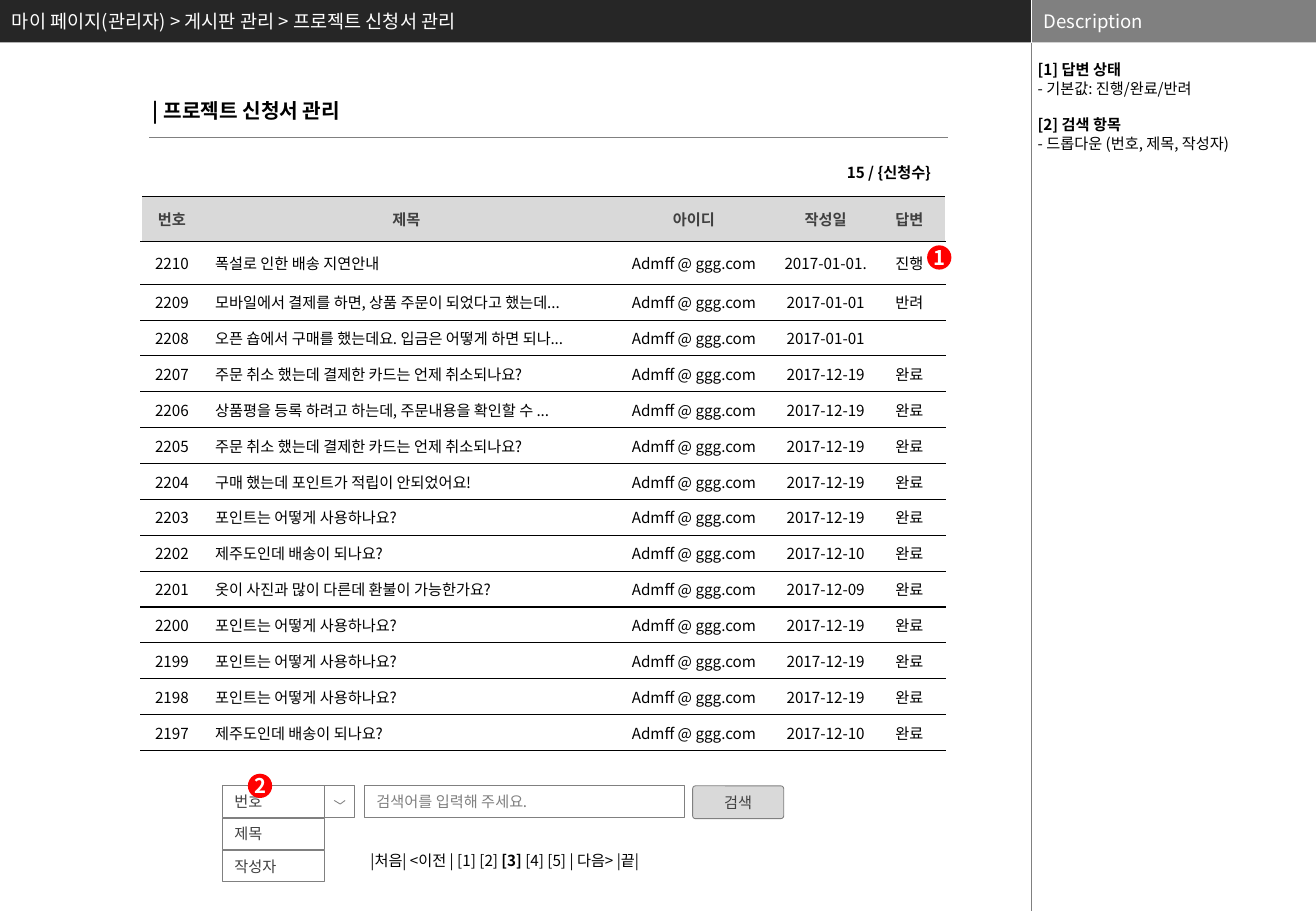
from dataclasses import dataclass
from lxml import etree
from pptx import Presentation
from pptx.dml.color import RGBColor
from pptx.enum.shapes import MSO_CONNECTOR, MSO_SHAPE
from pptx.enum.text import MSO_ANCHOR, PP_ALIGN
from pptx.oxml.ns import qn
from pptx.util import Inches, Pt

RECT, ROUND, OVAL = MSO_SHAPE.RECTANGLE, MSO_SHAPE.ROUNDED_RECTANGLE, MSO_SHAPE.OVAL
STRAIGHT = MSO_CONNECTOR.STRAIGHT
LEFT, CENTER, RIGHT = PP_ALIGN.LEFT, PP_ALIGN.CENTER, PP_ALIGN.RIGHT
TOP, MIDDLE = MSO_ANCHOR.TOP, MSO_ANCHOR.MIDDLE


@dataclass(frozen=True)
class Theme:
    font: str = "Noto Sans CJK KR"
    black: str = "000000"
    white: str = "FFFFFF"
    bar: str = "262626"
    gray: str = "808080"
    ink: str = "404040"
    pale: str = "D9D9D9"
    red: str = "FF0000"
    body: float = 9
    bar_size: float = 11
    title: float = 12
    note_pitch: float = 10.85
    thin: float = 0.25
    outline: float = 0.5
    rule: float = 0.75
    edge: float = 1


THEME = Theme()
BREADCRUMB = "마이 페이지(관리자) > 게시판 관리 > 프로젝트 신청서 관리"
TITLE = "| 프로젝트 신청서 관리"
COUNT = "15 / {신청수}"
NOTES = [
    ("[1] 답변 상태", "- 기본값: 진행/완료/반려"),
    ("[2] 검색 항목", "- 드롭다운 (번호, 제목, 작성자)"),
]
PAGING = [("|처음| <이전 | [1] [2] ", False), ("[3]", True), (" [4] [5] | 다음> |끝|", False)]
HEADERS = ["번호", "제목", "아이디", "작성일", "답변"]
ACCOUNT = "Admff @ ggg.com"
FIRST_NUMBER = 2210
CANCEL = "주문 취소 했는데 결제한 카드는 언제 취소되나요?"
POINTS = "포인트는 어떻게 사용하나요?"
JEJU = "제주도인데 배송이 되나요?"
POSTS = [
    ("폭설로 인한 배송 지연안내", "2017-01-01.", "진행"),
    ("모바일에서 결제를 하면, 상품 주문이 되었다고 했는데...", "2017-01-01", "반려"),
    ("오픈 숍에서 구매를 했는데요. 입금은 어떻게 하면 되나...", "2017-01-01", ""),
    (CANCEL, "2017-12-19", "완료"),
    ("상품평을 등록 하려고 하는데, 주문내용을 확인할 수 ...", "2017-12-19", "완료"),
    (CANCEL, "2017-12-19", "완료"),
    ("구매 했는데 포인트가 적립이 안되었어요!", "2017-12-19", "완료"),
    (POINTS, "2017-12-19", "완료"),
    (JEJU, "2017-12-10", "완료"),
    ("옷이 사진과 많이 다른데 환불이 가능한가요?", "2017-12-09", "완료"),
    (POINTS, "2017-12-19", "완료"),
    (POINTS, "2017-12-19", "완료"),
    (POINTS, "2017-12-19", "완료"),
    (JEJU, "2017-12-10", "완료"),
]
OPTIONS = ["번호", "제목", "작성자"]
MARKERS = [("1", 7.63, 2.02), ("2", 2.04, 6.37)]

PAGE_WIDTH, PAGE_HEIGHT = 10.83, 7.5
MAIN_WIDTH, BAR_HEIGHT = 8.49, 0.35
SIDE_WIDTH = PAGE_WIDTH - MAIN_WIDTH
TABLE_LEFT, TABLE_TOP, TABLE_HEIGHT = 1.16, 1.62, 4.56
COLUMNS = [0.51, 3.35, 1.38, 0.79, 0.59]
TALL_ROWS = [0.37, 0.35]
SEARCH_TOP, FIELD_HEIGHT = 6.47, 0.26
MENU_LEFT, MENU_WIDTH, ARROW_WIDTH = 1.83, 0.84, 0.25
MARKER_SIZE = 0.2
FIELD_INSETS = (0.1, 0.06, 0.1, 0.06)


def color(code):
    return RGBColor.from_string(code)


def add_span(para, text, size=THEME.body, ink=THEME.black, bold=False):
    span = para.add_run()
    span.text = text
    font = span.font
    font.name, font.size, font.bold = THEME.font, Pt(size), bold
    font.color.rgb = color(ink)
    east = etree.SubElement(span.font._element, qn("a:ea"))
    east.set("typeface", THEME.font)


def set_frame(box, insets=(0.1, 0.05, 0.1, 0.05), anchor=MIDDLE, wrap=True):
    frame = box.text_frame
    frame.word_wrap, frame.vertical_anchor = wrap, anchor
    frame.margin_left, frame.margin_top, frame.margin_right, frame.margin_bottom = map(Inches, insets)
    return frame


def add_text(parent, place, spans, anchor=MIDDLE):
    box = parent.add_textbox(*map(Inches, place))
    para = set_frame(box, anchor=anchor).paragraphs[0]
    for text, style in spans:
        add_span(para, text, **style)


def set_paint(box, fill=None, line=None):
    box.shadow.inherit = False
    if fill:
        box.fill.solid()
        box.fill.fore_color.rgb = color(fill)
    else:
        box.fill.background()
    if line:
        box.line.color.rgb = color(line)
        box.line.width = Pt(THEME.outline)
    else:
        box.line.fill.background()


def add_box(parent, kind, place, fill=None, line=None, text="", align=LEFT,
            insets=FIELD_INSETS, wrap=True, **style):
    box = parent.add_shape(kind, *map(Inches, place))
    set_paint(box, fill, line)
    if text:
        para = set_frame(box, insets, wrap=wrap).paragraphs[0]
        para.alignment = align
        add_span(para, text, **style)
    return box


def add_line(parent, start, end, ink, width):
    line = parent.add_connector(STRAIGHT, *map(Inches, start + end))
    line.line.color.rgb = color(ink)
    line.line.width = Pt(width)
    etree.SubElement(line._element.spPr, qn("a:effectLst"))


def set_borders(cell, first, last):
    props = cell._tc.get_or_add_tcPr()
    sides = [("L", THEME.white if first else None, THEME.edge),
             ("R", THEME.white if last else None, THEME.edge),
             ("T", THEME.black, THEME.rule), ("B", THEME.black, THEME.rule)]
    for index, (side, ink, width) in enumerate(sides):
        border = etree.Element(qn(f"a:ln{side}"), w=str(Pt(width)))
        if ink:
            fill = etree.SubElement(border, qn("a:solidFill"))
            etree.SubElement(fill, qn("a:srgbClr"), val=ink)
        else:
            etree.SubElement(border, qn("a:noFill"))
        props.insert(index, border)


def add_board(parent):
    rows = [HEADERS] + [(str(FIRST_NUMBER - index), subject, ACCOUNT, date, answer)
                        for index, (subject, date, answer) in enumerate(POSTS)]
    plain = (TABLE_HEIGHT - sum(TALL_ROWS)) / (len(rows) - len(TALL_ROWS))
    heights = TALL_ROWS + [plain] * (len(rows) - len(TALL_ROWS))
    place = (TABLE_LEFT, TABLE_TOP, sum(COLUMNS), TABLE_HEIGHT)
    table = parent.add_table(len(rows), len(COLUMNS), *map(Inches, place)).table
    table.first_row = table.horz_banding = False
    for column, width in zip(table.columns, COLUMNS):
        column.width = Inches(width)
    for r, (values, height) in enumerate(zip(rows, heights)):
        table.rows[r].height = Inches(height)
        for c, value in enumerate(values):
            cell = table.cell(r, c)
            cell.vertical_anchor = MIDDLE
            if c > 1:
                cell.margin_left = cell.margin_right = cell.margin_top = cell.margin_bottom = 0
            para = cell.text_frame.paragraphs[0]
            para.alignment = LEFT if r and c == 1 else CENTER
            para.font.size = Pt(THEME.body)
            if value:
                add_span(para, value, ink=THEME.black if r else THEME.ink, bold=r == 0)
            if r:
                cell.fill.background()
            else:
                cell.fill.solid()
                cell.fill.fore_color.rgb = color(THEME.pale)
            set_borders(cell, c == 0, c == len(COLUMNS) - 1)


def add_notes(parent):
    box = parent.add_textbox(*map(Inches, (MAIN_WIDTH + 0.01, BAR_HEIGHT, SIDE_WIDTH, PAGE_HEIGHT - BAR_HEIGHT)))
    frame = set_frame(box, (0.04, 0.15, 0.04, 0), TOP)
    for index, note in enumerate(NOTES):
        for part, text in enumerate(note):
            para = frame.add_paragraph() if index or part else frame.paragraphs[0]
            para.line_spacing = Pt(THEME.note_pitch)
            para.space_before = Pt(THEME.note_pitch if index and not part else 0)
            add_span(para, text, bold=part == 0)


def add_menu(parent):
    group = parent.add_group_shape().shapes
    for index, text in enumerate(OPTIONS):
        top = SEARCH_TOP + index * (FIELD_HEIGHT + 0.005)
        add_box(group, RECT, (MENU_LEFT, top, MENU_WIDTH, FIELD_HEIGHT),
                line=THEME.gray, text=text, ink=THEME.ink)
    left = MENU_LEFT + MENU_WIDTH
    add_box(group, RECT, (left, SEARCH_TOP, ARROW_WIDTH, FIELD_HEIGHT), THEME.white, THEME.gray)
    points = [tuple(map(Inches, point)) for point in [(2.84, 6.59), (2.8, 6.62), (2.75, 6.59)]]
    chevron = group.build_freeform(*points[0], scale=1.0)
    chevron.add_line_segments(points[1:], close=False)
    set_paint(chevron.convert_to_shape(), THEME.white, THEME.gray)


def main():
    deck = Presentation()
    deck.slide_width, deck.slide_height = Inches(PAGE_WIDTH), Inches(PAGE_HEIGHT)
    shapes = deck.slides.add_slide(deck.slide_layouts[6]).shapes
    bar_style = {"size": THEME.bar_size, "ink": THEME.white}
    for left, width, fill, text in [(0, MAIN_WIDTH, THEME.bar, BREADCRUMB),
                                    (MAIN_WIDTH, SIDE_WIDTH, THEME.gray, "Description")]:
        place = (left, 0, width, BAR_HEIGHT)
        add_box(shapes, RECT, place, fill)
        add_text(shapes, place, [(text, bar_style)])
    add_line(shapes, (MAIN_WIDTH, 0), (MAIN_WIDTH, BAR_HEIGHT), THEME.white, THEME.thin)
    add_line(shapes, (MAIN_WIDTH, BAR_HEIGHT), (MAIN_WIDTH, PAGE_HEIGHT), THEME.gray, THEME.thin)
    add_line(shapes, (1.23, 1.13), (7.8, 1.13), THEME.gray, THEME.rule)
    add_text(shapes, (1.16, 0.76, 2.28, 0.3), [(TITLE, {"size": THEME.title, "bold": True})], TOP)
    add_text(shapes, (2.95, 6.96, 2.72, 0.25), [(text, {"bold": bold}) for text, bold in PAGING], TOP)
    add_notes(shapes)
    add_board(shapes)
    add_box(shapes, ROUND, (6.2, 1.32, 1.57, 0.2), THEME.white, text=COUNT, align=RIGHT,
            insets=(0.1, 0, 0.1, 0), bold=True)
    add_box(shapes, RECT, (3, SEARCH_TOP, 2.63, FIELD_HEIGHT), line=THEME.gray,
            text="검색어를 입력해 주세요.", ink=THEME.gray)
    add_menu(shapes)
    button = add_box(shapes, ROUND, (5.7, SEARCH_TOP, 0.75, 0.27), THEME.pale, THEME.gray,
                     "검색", CENTER, (0.05,) * 4, ink=THEME.ink)
    button.adjustments[0] = 0.09
    for text, left, top in MARKERS:
        add_box(shapes, OVAL, (left, top, MARKER_SIZE, MARKER_SIZE), THEME.red, text=text, align=CENTER,
                insets=(0,) * 4, wrap=False, size=THEME.title, ink=THEME.white, bold=True)
    deck.save("out.pptx")


if __name__ == "__main__":
    main()
